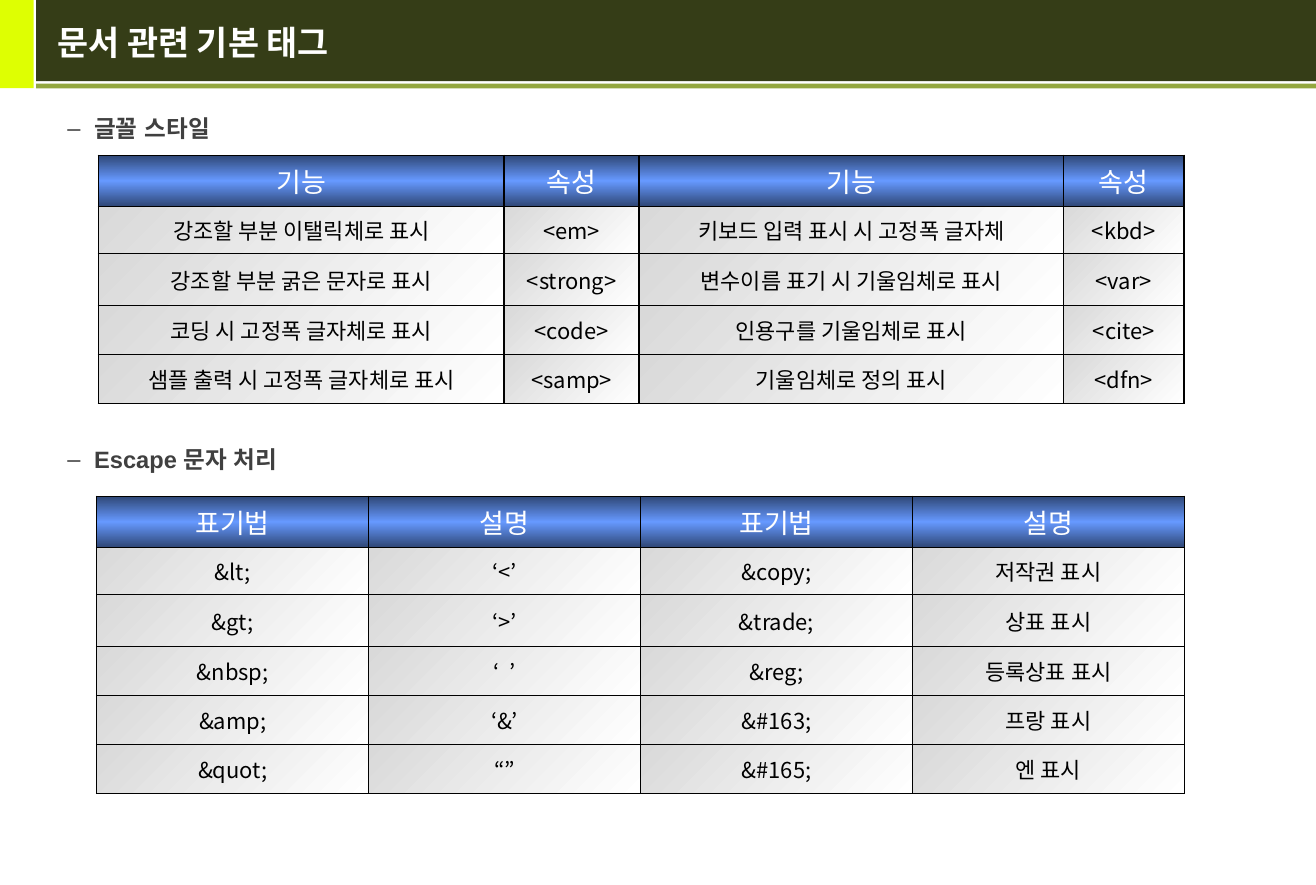
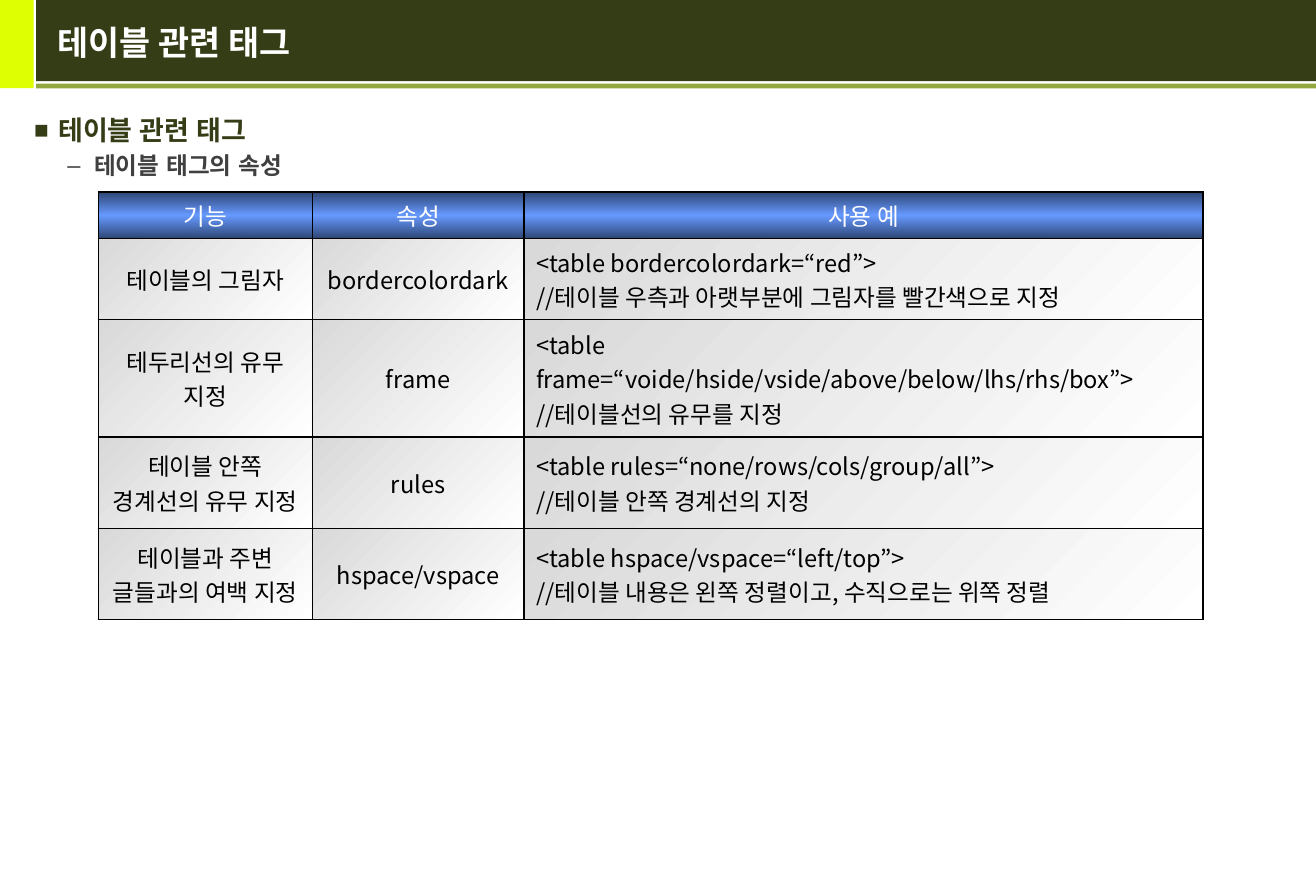
from lxml import etree
from pptx import Presentation
from pptx.dml.color import RGBColor
from pptx.enum import shapes, text
from pptx.oxml import ns
from pptx.util import Pt

LIME = RGBColor(0xDE, 0xFF, 0x02)
DARK_OLIVE = RGBColor(0x35, 0x3D, 0x17)
OLIVE = RGBColor(0x93, 0xA7, 0x3F)
GRAY = RGBColor(0x40, 0x40, 0x40)
WHITE = RGBColor(0xFF, 0xFF, 0xFF)
BLACK = RGBColor(0x00, 0x00, 0x00)
NAVY = RGBColor(0x2F, 0x47, 0x76)
BLUE = RGBColor(0x66, 0x99, 0xFF)
SILVER = RGBColor(0xD9, 0xD9, 0xD9)

KOREAN = "Noto Sans CJK KR"
HEADER_GRADIENT = (90, [(0, NAVY), (50, BLUE), (100, NAVY)])
BODY_GRADIENT = (45, [(0, SILVER), (100, WHITE)])

BANDS = [
    (0, 0, 20, 52.3, LIME),
    (21.4, 0, 758.6, 48.2, DARK_OLIVE),
    (21.4, 49.6, 758.6, 2.8, OLIVE),
]
OUTLINE_LEVELS = [
    dict(size=16, color=DARK_OLIVE, bullet="■", bullet_size=90, margin=14.4, hang=14.4),
    dict(size=14, color=GRAY, bullet="–", bullet_size=100, margin=35.5, hang=15.8),
]

SLIDES = [
    dict(
        title="문서 관련 기본 태그",
        outlines=[(64, [(1, "글꼴 스타일")]), (260.3, [(1, "Escape 문자 처리")])],
        tables=[
            dict(
                left=58.3, top=92, header_size=16, body_size=13, left_column=None,
                widths=[240.5, 80, 251.5, 71.5],
                heights=[30.3, 28, 30.8, 29, 29],
                rows=[
                    ["기능", "속성", "기능", "속성"],
                    ["강조할 부분 이탤릭체로 표시", "<em>", "키보드 입력 표시 시 고정폭 글자체", "<kbd>"],
                    ["강조할 부분 굵은 문자로 표시", "<strong>", "변수이름 표기 시 기울임체로 표시", "<var>"],
                    ["코딩 시 고정폭 글자체로 표시", "<code>", "인용구를 기울임체로 표시", "<cite>"],
                    ["샘플 출력 시 고정폭 글자체로 표시", "<samp>", "기울임체로 정의 표시", "<dfn>"],
                ],
            ),
            dict(
                left=57.3, top=294.1, header_size=16, body_size=13, left_column=None,
                widths=[161.2] * 4,
                heights=[30.3, 28, 30.8, 29, 29, 29],
                rows=[
                    ["표기법", "설명", "표기법", "설명"],
                    ["&lt;", "‘<’", "&copy;", "저작권 표시"],
                    ["&gt;", "‘>’", "&trade;", "상표 표시"],
                    ["&nbsp;", "‘  ’", "&reg;", "등록상표 표시"],
                    ["&amp;", "‘&’", "&#163;", "프랑 표시"],
                    ["&quot;", "“”", "&#165;", "엔 표시"],
                ],
            ),
        ],
    ),
    dict(
        title="테이블 관련 태그",
        outlines=[(64, [(0, "테이블 관련 태그"), (1, "테이블 태그의 속성")])],
        tables=[
            dict(
                left=58.3, top=113.9, header_size=14, body_size=14, left_column=2,
                widths=[126.8, 125.5, 402.5],
                heights=[27.4, 48, 69.8, 54, 54],
                rows=[
                    ["기능", "속성", "사용 예"],
                    ["테이블의 그림자", "bordercolordark",
                     "<table bordercolordark=“red”>\v//테이블 우측과 아랫부분에 그림자를 빨간색으로 지정"],
                    ["테두리선의 유무 지정", "frame",
                     "<table frame=“voide/hside/vside/above/below/lhs/rhs/box”>\v//테이블선의 유무를 지정"],
                    ["테이블 안쪽 경계선의 유무 지정", "rules",
                     "<table rules=“none/rows/cols/group/all”>\v//테이블 안쪽 경계선의 지정"],
                    ["테이블과 주변 글들과의 여백 지정", "hspace/vspace",
                     "<table hspace/vspace=“left/top”>\v//테이블 내용은 왼쪽 정렬이고, 수직으로는 위쪽 정렬"],
                ],
            ),
        ],
    ),
]


def add_node(parent, tag, **attributes):
    node = etree.SubElement(parent, ns.qn(tag))
    for key, value in attributes.items():
        node.set(key, str(value))
    return node


def set_font(paragraph, size, color, name, bold=False):
    font = paragraph.font
    font.size = Pt(size)
    font.bold = bold
    font.color.rgb = color
    font.name = name
    add_node(paragraph._p.pPr.find(ns.qn("a:defRPr")), "a:ea", typeface=name)


prs = Presentation()
prs.slide_width, prs.slide_height = Pt(780), Pt(524.4)

for content in SLIDES:
    slide = prs.slides.add_slide(prs.slide_layouts[5])

    for left, top, width, height, color in BANDS:
        band = slide.shapes.add_shape(
            shapes.MSO_SHAPE.RECTANGLE, Pt(left), Pt(top), Pt(width), Pt(height))
        band.shadow.inherit = False
        band.fill.solid()
        band.fill.fore_color.rgb = color
        band.line.fill.background()

    title = slide.shapes.title
    slide.shapes._spTree.append(title._element)
    title.left, title.top, title.width, title.height = Pt(26.8), Pt(0.5), Pt(743), Pt(49)
    title.text_frame.text = content["title"]
    title.text_frame.vertical_anchor = text.MSO_ANCHOR.MIDDLE
    heading = title.text_frame.paragraphs[0]
    heading.alignment = text.PP_ALIGN.LEFT
    set_font(heading, 20, WHITE, KOREAN, bold=True)

    for top, entries in content["outlines"]:
        outline = slide.shapes.add_textbox(Pt(13.2), Pt(top), Pt(754), Pt(7 + 21 * len(entries)))
        frame = outline.text_frame
        frame.word_wrap = True
        frame.text = "\n".join(entry for _, entry in entries)
        for paragraph, (level, _) in zip(frame.paragraphs, entries):
            style = OUTLINE_LEVELS[level]
            paragraph.level = level
            paragraph.space_before = Pt(style["size"] * 0.2)
            properties = paragraph._p.get_or_add_pPr()
            properties.set("marL", str(Pt(style["margin"])))
            properties.set("indent", str(-Pt(style["hang"])))
            bullet_color = add_node(properties, "a:buClr")
            add_node(bullet_color, "a:srgbClr", val=style["color"])
            add_node(properties, "a:buSzPct", val=style["bullet_size"] * 1000)
            add_node(properties, "a:buFont", typeface="Arial")
            add_node(properties, "a:buChar", char=style["bullet"])
            set_font(paragraph, style["size"], style["color"], "Arial", bold=True)

    for spec in content["tables"]:
        rows, widths, heights = spec["rows"], spec["widths"], spec["heights"]
        table = slide.shapes.add_table(
            len(rows), len(widths), Pt(spec["left"]), Pt(spec["top"]),
            Pt(sum(widths)), Pt(sum(heights))).table
        table.horz_banding = False
        for column, width in zip(table.columns, widths):
            column.width = Pt(width)
        for row, height in zip(table.rows, heights):
            row.height = Pt(height)

        for row_index, row in enumerate(rows):
            is_header = row_index == 0
            size = spec["header_size"] if is_header else spec["body_size"]
            angle, stops = HEADER_GRADIENT if is_header else BODY_GRADIENT
            for column_index, label in enumerate(row):
                cell = table.cell(row_index, column_index)
                cell.vertical_anchor = text.MSO_ANCHOR.MIDDLE
                paragraph = cell.text_frame.paragraphs[0]
                paragraph.text = label
                at_left = column_index == spec["left_column"] and not is_header
                paragraph.alignment = text.PP_ALIGN.LEFT if at_left else text.PP_ALIGN.CENTER
                set_font(paragraph, size, WHITE if is_header else BLACK, KOREAN)

                cell_properties = cell._tc.get_or_add_tcPr()
                for side in ("a:lnL", "a:lnR", "a:lnT", "a:lnB"):
                    border = add_node(cell_properties, side, w=Pt(1))
                    add_node(add_node(border, "a:solidFill"), "a:srgbClr", val=BLACK)
                gradient = add_node(cell_properties, "a:gradFill", rotWithShape=1)
                stop_list = add_node(gradient, "a:gsLst")
                for position, color in stops:
                    stop = add_node(stop_list, "a:gs", pos=position * 1000)
                    add_node(stop, "a:srgbClr", val=color)
                add_node(gradient, "a:lin", ang=angle * 60000, scaled=1)

prs.save("out.pptx")
